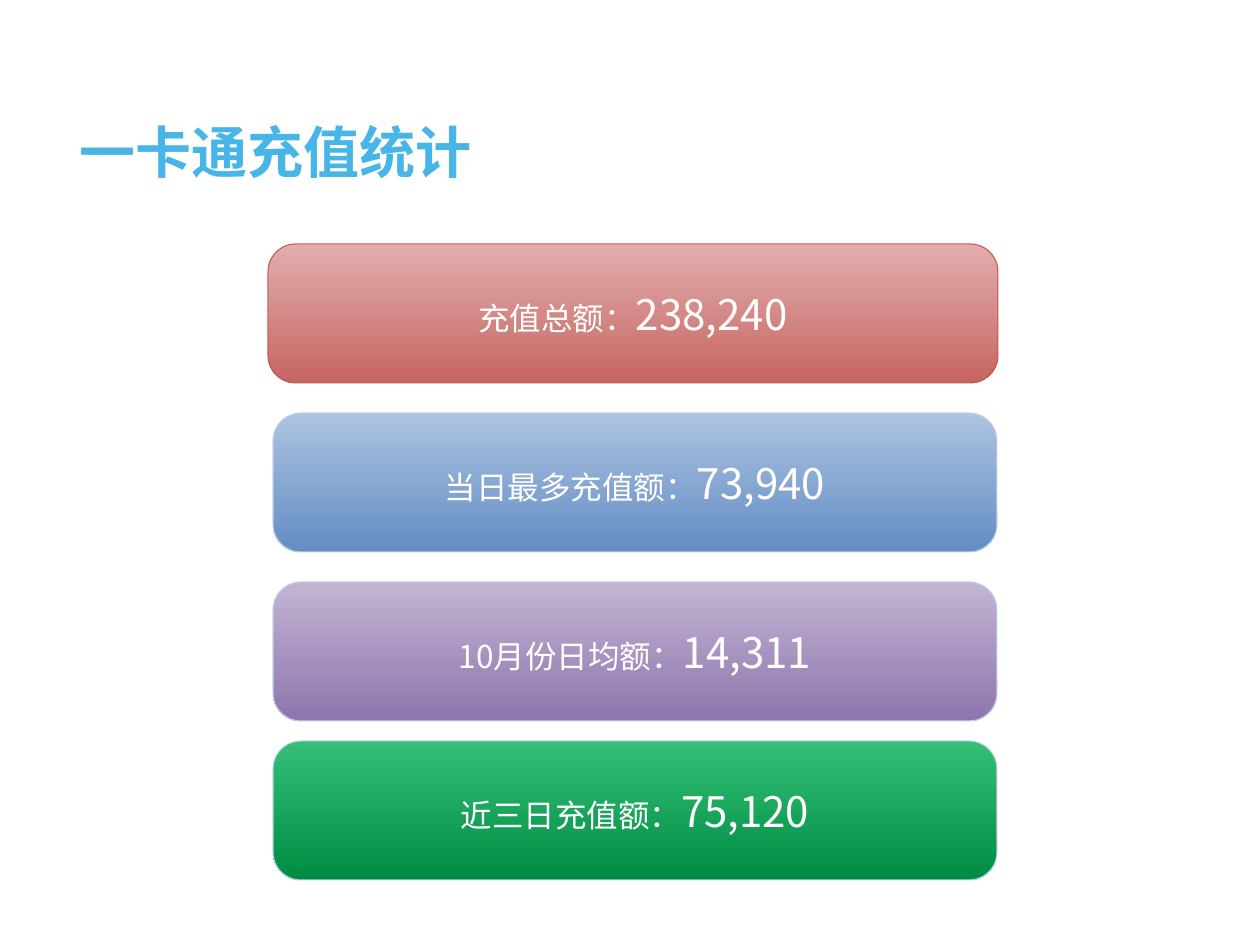
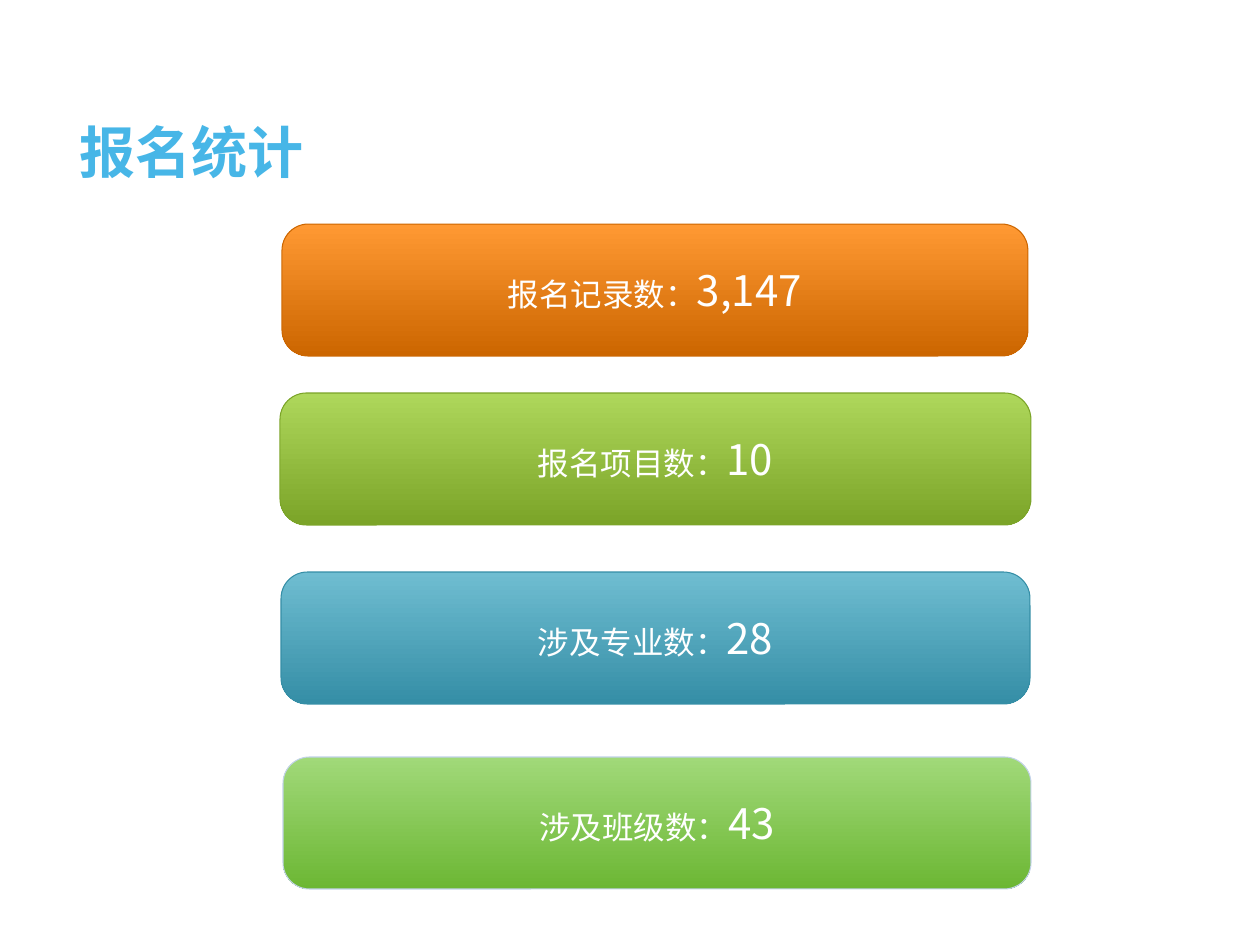
from lxml.etree import SubElement
from pptx import Presentation
from pptx.dml.color import RGBColor
from pptx.enum.shapes import MSO_SHAPE as Shape
from pptx.enum.text import MSO_ANCHOR as Anchor, PP_ALIGN as Align
from pptx.oxml.ns import qn
from pptx.util import Pt

EMU_PER_PX = 914400 / 126
BLANK_LAYOUT = 6
CORNER_RATIO = 0.2
TITLE_FONT = "TeX Gyre Adventor"
BODY_FONT = "Noto Sans CJK SC"

COLORS = {
    "title": "47B6E7",
    "text": "FFFFFF",
    "pale_line": "C1D2E8",
    "red_line": "C25754",
    "red_top": "E1AEAD", "red_bottom": "C66562",
    "blue_top": "ADC3E0", "blue_bottom": "638DC4",
    "purple_top": "C2B5D3", "purple_bottom": "8E75AD",
    "green_top": "33BF76", "green_bottom": "008C43",
    "orange_top": "FF9933", "orange_bottom": "CC6600",
    "olive_top": "AED75B", "olive_bottom": "7BA428",
    "teal_top": "6FBDD1", "teal_bottom": "358EA6",
    "lime_top": "A1D979", "lime_bottom": "6CB734",
}

RECHARGE_BARS = [
    ("充值总额：", "238,240", "red", "red_line", (268, 244, 730)),
    ("当日最多充值额：", "73,940", "blue", "pale_line", (273, 413, 724)),
    ("10月份日均额：", "14,311", "purple", "pale_line", (273, 582, 724)),
    ("近三日充值额：", "75,120", "green", "pale_line", (273, 741, 724)),
]
SIGNUP_BARS = [
    ("报名记录数：", "3,147", "orange", "orange_bottom", (282, 224, 746)),
    ("报名项目数：", "10", "olive", "olive_bottom", (280, 393, 751)),
    ("涉及专业数：", "28", "teal", "teal_bottom", (281, 572, 749)),
    ("涉及班级数：", "43", "lime", "pale_line", (283, 757, 748)),
]


def px(length):
    return round(length * EMU_PER_PX)


def color(name):
    return RGBColor.from_string(COLORS[name])


def add_text(paragraph, text, size, font=BODY_FONT, fill="text", bold=False):
    run = paragraph.add_run()
    run.text = text
    run.font.size = Pt(size)
    run.font.name = font
    run.font.bold = bold
    run.font.color.rgb = color(fill)
    east_asian = SubElement(run.font._element, qn("a:ea"))
    east_asian.set("typeface", BODY_FONT)


def add_title(slide, text):
    box = slide.shapes.add_textbox(px(67), px(111), px(1131), px(81))
    frame = box.text_frame
    frame.word_wrap = True
    frame.vertical_anchor = Anchor.BOTTOM
    paragraph = frame.paragraphs[0]
    paragraph.line_spacing = 0.9
    add_text(paragraph, text, size=32, font=TITLE_FONT, fill="title", bold=True)


def add_bar(slide, label, value, tone, line, place, height):
    left, top, width = place
    shape = slide.shapes.add_shape(
        Shape.ROUNDED_RECTANGLE, px(left), px(top), px(width), px(height))
    shape.adjustments[0] = CORNER_RATIO
    shape.shadow.inherit = False
    shape.fill.gradient()
    shape.fill.gradient_angle = 270
    for stop, end in zip(shape.fill.gradient_stops, ("top", "bottom")):
        stop.color.rgb = color(f"{tone}_{end}")
    shape.line.color.rgb = color(line)
    shape.line.width = Pt(0.6)

    frame = shape.text_frame
    frame.word_wrap = True
    frame.vertical_anchor = Anchor.MIDDLE
    frame.margin_left = frame.margin_right = px(5)
    frame.margin_top = frame.margin_bottom = px(3)
    paragraph = frame.paragraphs[0]
    paragraph.alignment = Align.CENTER
    add_text(paragraph, label, size=18)
    add_text(paragraph, value, size=24)


def add_statistics_slide(presentation, title, bars, bar_height):
    slide = presentation.slides.add_slide(presentation.slide_layouts[BLANK_LAYOUT])
    add_title(slide, title)
    for bar in bars:
        add_bar(slide, *bar, height=bar_height)


def main():
    presentation = Presentation()
    presentation.slide_width = px(1260)
    presentation.slide_height = px(945)
    add_statistics_slide(presentation, "一卡通充值统计", RECHARGE_BARS, bar_height=139)
    add_statistics_slide(presentation, "报名统计", SIGNUP_BARS, bar_height=132)
    presentation.save("out.pptx")


if __name__ == "__main__":
    main()
